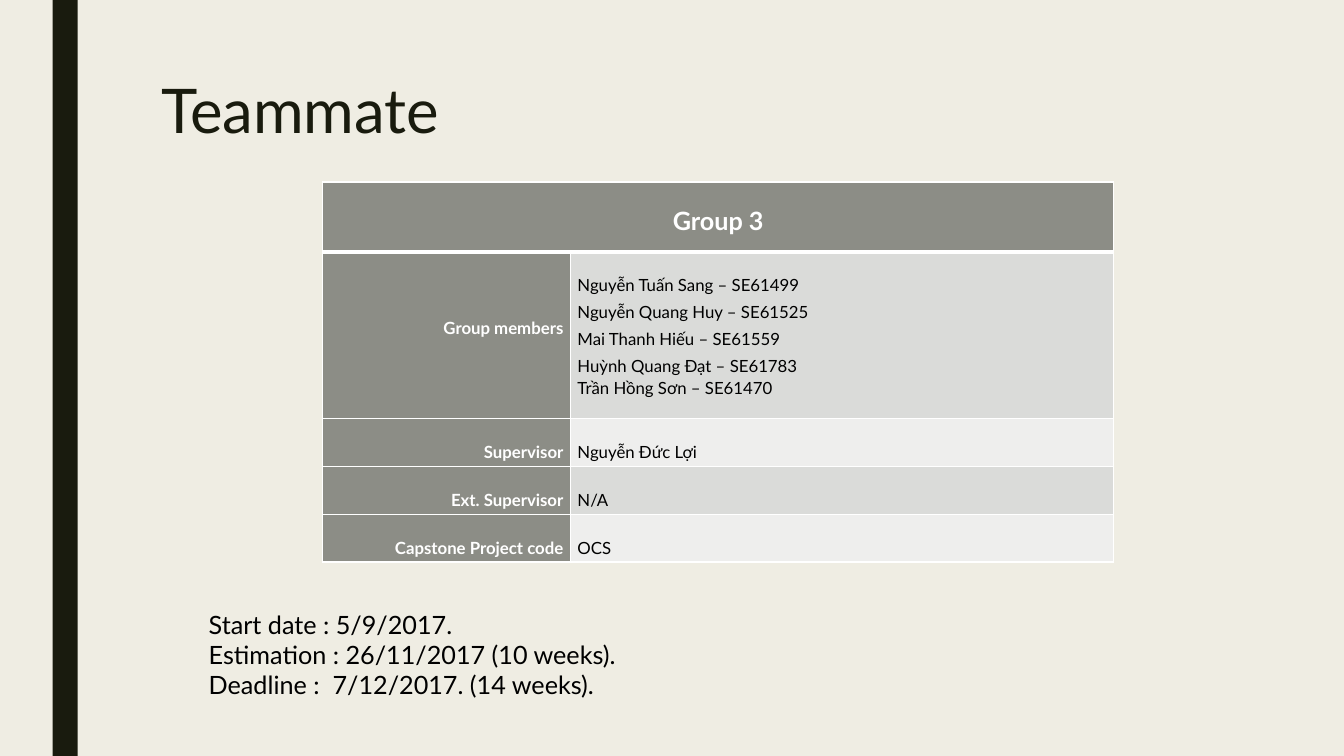
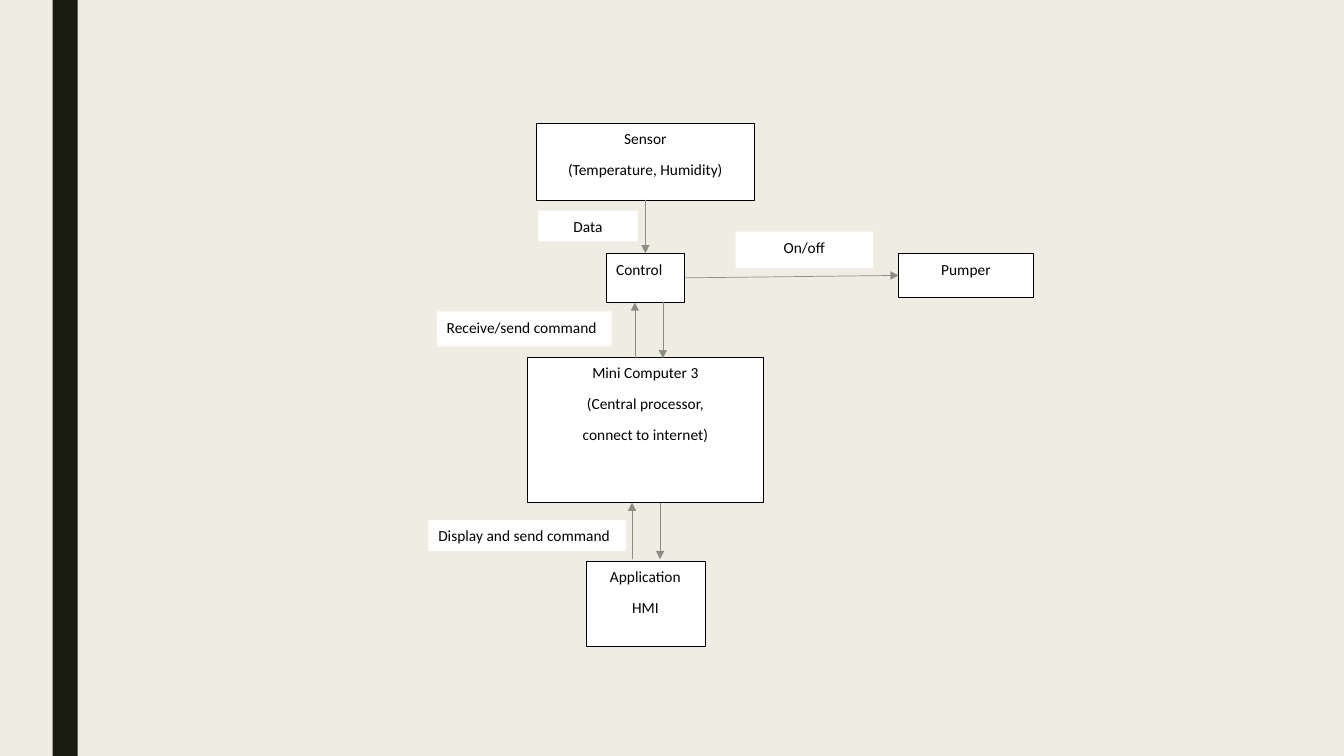
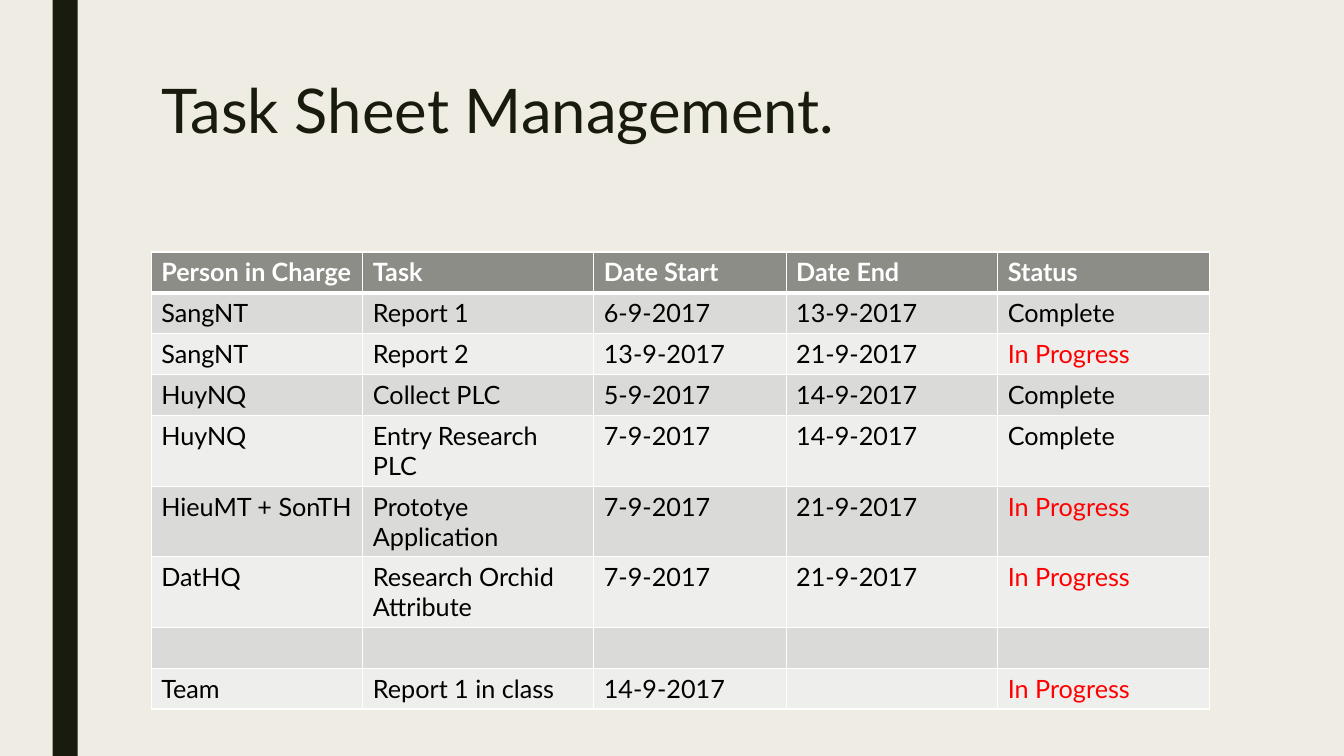
from lxml.etree import SubElement
from pptx import Presentation
from pptx.dml.color import RGBColor
from pptx.enum.shapes import MSO_CONNECTOR as Link, MSO_SHAPE as Shape
from pptx.enum.text import MSO_ANCHOR as Anchor, PP_ALIGN as Align
from pptx.oxml.ns import qn
from pptx.util import Pt

HUES = {"page": "EFEDE3", "band": "191B0E", "head": "8C8D86", "odd": "DADBD9",
        "even": "EEEEED", "white": "FFFFFF", "black": "000000", "red": "FF0000"}
FONT = "Lato"

TEAM_HEAD = "Group 3"
TEAM = [
    ("Group members", ["Nguyễn Tuấn Sang – SE61499", "Nguyễn Quang Huy – SE61525",
                       "Mai Thanh Hiếu – SE61559", "Huỳnh Quang Đạt – SE61783",
                       "Trần Hồng Sơn – SE61470"]),
    ("Supervisor", ["Nguyễn Đức Lợi"]),
    ("Ext. Supervisor", ["N/A"]),
    ("Capstone Project code", ["OCS"]),
]
TEAM_COLS = [177, 388]
TEAM_ROWS = [50, 119, 34.5, 34, 34]
DATES = ["Start date : 5/9/2017.", "Estimation : 26/11/2017 (10 weeks).",
         "Deadline :  7/12/2017. (14 weeks)."]

MID = 461
# name: (lines, centre x, top, width, height, alignment)
BOXES = {
    "sensor": (["Sensor", "(Temperature, Humidity)"], MID, 88, 156, 55, Align.CENTER),
    "board": (["Control"], MID, 181, 56, 35, Align.LEFT),
    "hub": (["Mini Computer 3", "(Central processor,", "connect to internet)"],
            MID, 255, 168, 104, Align.CENTER),
    "pump": (["Pumper"], 690, 181, 96, 31.5, Align.CENTER),
    "app": (["Application", "HMI"], MID, 401, 85, 61, Align.CENTER),
}
# (text, left, top, width, height, alignment)
TAGS = [
    ("Display and send command", 306, 371.5, 141, 22, Align.LEFT),
    ("On/off", 525.5, 165.5, 98, 26, Align.CENTER),
    ("Data", 384.5, 150.5, 71, 22, Align.CENTER),
    ("Receive/send command", 312, 222.5, 125, 25, Align.LEFT),
]
JOINS = [("sensor", 2, "board", 0), ("board", 3, "pump", 1)]
# (upper y, lower y, x of the arrow up, x of the arrow down)
PAIRS = [(216, 256, 453.5, 473.5), (359, 399.5, 451.5, 471.5)]

TASK_HEAD = ["Person in Charge", "Task", "Date Start", "Date End", "Status"]
DONE, BUSY = "Complete", "In Progress"
TASKS = [
    ("SangNT", "Report 1", "6-9-2017", "13-9-2017", DONE),
    ("SangNT", "Report 2", "13-9-2017", "21-9-2017", BUSY),
    ("HuyNQ", "Collect PLC", "5-9-2017", "14-9-2017", DONE),
    ("HuyNQ", "Entry Research PLC", "7-9-2017", "14-9-2017", DONE),
    ("HieuMT + SonTH", "Prototye Application", "7-9-2017", "21-9-2017", BUSY),
    ("DatHQ", "Research Orchid Attribute", "7-9-2017", "21-9-2017", BUSY),
    ("", "", "", "", ""),
    ("Team", "Report 1 in class", "14-9-2017", "", BUSY),
]
TASK_COLS = [151.2, 165, 137.4, 151.2, 151.2]


def hue(name):
    return RGBColor.from_string(HUES[name])


def pts(*nums):
    return [Pt(n) for n in nums]


def paint(fill, name):
    fill.solid()
    fill.fore_color.rgb = hue(name)


def write(frame, lines, size, color="black", font=FONT, bold=False,
          align=Align.LEFT, lead=None, after=0):
    frame.text = "\n".join(lines)
    for para in frame.paragraphs:
        para.alignment = align
        para.line_spacing = lead
        para.space_after = Pt(after)
        para.font.size = Pt(size)
        for run in para.runs:
            face = run.font
            face.name, face.size, face.bold = font, Pt(size), bold
            face.color.rgb = hue(color)


def add_rect(slide, left, top, wide, high, fill, edge=None):
    rect = slide.shapes.add_shape(Shape.RECTANGLE, *pts(left, top, wide, high))
    rect.shadow.inherit = False
    paint(rect.fill, fill)
    if edge:
        rect.line.color.rgb = hue(edge)
        rect.line.width = Pt(0.5)
    else:
        rect.line.fill.background()
    return rect


def add_label(slide, lines, spot, align, edge=None):
    rect = add_rect(slide, *spot, "white", edge)
    frame = rect.text_frame
    frame.word_wrap = True
    frame.vertical_anchor = Anchor.TOP
    write(frame, lines, 11, font="Calibri", align=align, lead=1.07, after=8)
    return rect


def add_arrow(slide, x1=0, y1=0, x2=0, y2=0):
    line = slide.shapes.add_connector(Link.STRAIGHT, *pts(x1, y1, x2, y2))
    line.line.color.rgb = hue("head")
    line.line.width = Pt(0.5)
    props = line.element.spPr
    SubElement(props.find(qn("a:ln")), qn("a:tailEnd"), type="triangle")
    SubElement(props, qn("a:effectLst"))
    return line


def add_title(slide, text):
    title = slide.shapes.title
    title.left, title.top, title.width, title.height = pts(108, 54, 756, 116.5)
    title.text_frame.vertical_anchor = Anchor.TOP
    write(title.text_frame, [text], 44, "band", lead=0.89)


def add_grid(slide, left, top, cols, rows):
    """Add a table with white rules, a grey head row and banded rows."""
    grid = slide.shapes.add_table(len(rows), len(cols),
                                  *pts(left, top, sum(cols), sum(rows))).table
    for col, wide in zip(grid.columns, cols):
        col.width = Pt(wide)
    for n, (row, high) in enumerate(zip(grid.rows, rows)):
        row.height = Pt(high)
        for cell in row.cells:
            props = cell._tc.get_or_add_tcPr()
            for side in "LRTB":
                thick = (n, side) in ((0, "B"), (1, "T"))
                rule = SubElement(props, qn("a:ln" + side), w=str(Pt(3 if thick else 1)))
                ink = SubElement(rule, qn("a:solidFill"))
                SubElement(ink, qn("a:srgbClr"), val=HUES["white"])
            paint(cell.fill, "head" if n == 0 else "odd" if n % 2 else "even")
    return grid


def pad(cell, top):
    cell.margin_left = cell.margin_right = Pt(5)
    cell.margin_top, cell.margin_bottom = Pt(top), 0


def set_master(deck, slide):
    """Give the master its background and its side band."""
    master = deck.slide_master
    paint(master.background.fill, "page")
    band = add_rect(slide, 37.5, 0, 18, 540, "band")
    master.shapes.element.insert(2, band.element)


def draw_team(slide):
    add_title(slide, "Teammate")
    grid = add_grid(slide, 230.5, 130, TEAM_COLS, TEAM_ROWS)
    head = grid.cell(0, 0)
    head.merge(grid.cell(0, 1))
    pad(head, 15.4)
    write(head.text_frame, [TEAM_HEAD], 18, "white", bold=True,
          align=Align.CENTER, lead=1.07, after=8)
    for n, (name, lines) in enumerate(TEAM, 1):
        label, value = grid.cell(n, 0), grid.cell(n, 1)
        pad(label, 46.2 if len(lines) > 1 else 15.4)
        pad(value, 15.4)
        paint(label.fill, "head")
        write(label.text_frame, [name], 12, "white", bold=True,
              align=Align.RIGHT, lead=1.07)
        write(value.text_frame, lines, 12, lead=1.07)
        for para in value.text_frame.paragraphs[:-2]:
            para.space_after = Pt(4)
    box = slide.shapes.add_textbox(*pts(142, 431.5, 634, 94))
    box.text_frame.word_wrap = True
    write(box.text_frame, DATES, 18)


def draw_flow(slide):
    made = {}
    for name, (lines, mid, top, wide, high, align) in BOXES.items():
        spot = (mid - wide / 2, top, wide, high)
        made[name] = add_label(slide, lines, spot, align, "black")
    for start, out, end, into in JOINS:
        line = add_arrow(slide)
        line.begin_connect(made[start], out)
        line.end_connect(made[end], into)
    for high, low, up, down in PAIRS:
        add_arrow(slide, up, low, up, high)
        add_arrow(slide, down, high, down, low)
    for text, *spot, align in TAGS:
        add_label(slide, [text], spot, align)


def draw_tasks(slide):
    add_title(slide, "Task Sheet Management.")
    rows = [TASK_HEAD, *TASKS]
    grid = add_grid(slide, 108, 180, TASK_COLS, [29.2] * len(rows))
    for n, row in enumerate(rows):
        for col, text in enumerate(row):
            color = "white" if n == 0 else "red" if text == BUSY else "black"
            write(grid.cell(n, col).text_frame, [text], 18, color, bold=n == 0)


def main():
    deck = Presentation()
    deck.slide_width, deck.slide_height = pts(960, 540)
    titled, blank = deck.slide_layouts[5], deck.slide_layouts[6]
    pages = [(draw_team, titled), (draw_flow, blank), (draw_tasks, titled)]
    for n, (draw, layout) in enumerate(pages):
        slide = deck.slides.add_slide(layout)
        if n == 0:
            set_master(deck, slide)
        draw(slide)
    deck.save("out.pptx")


if __name__ == "__main__":
    main()
